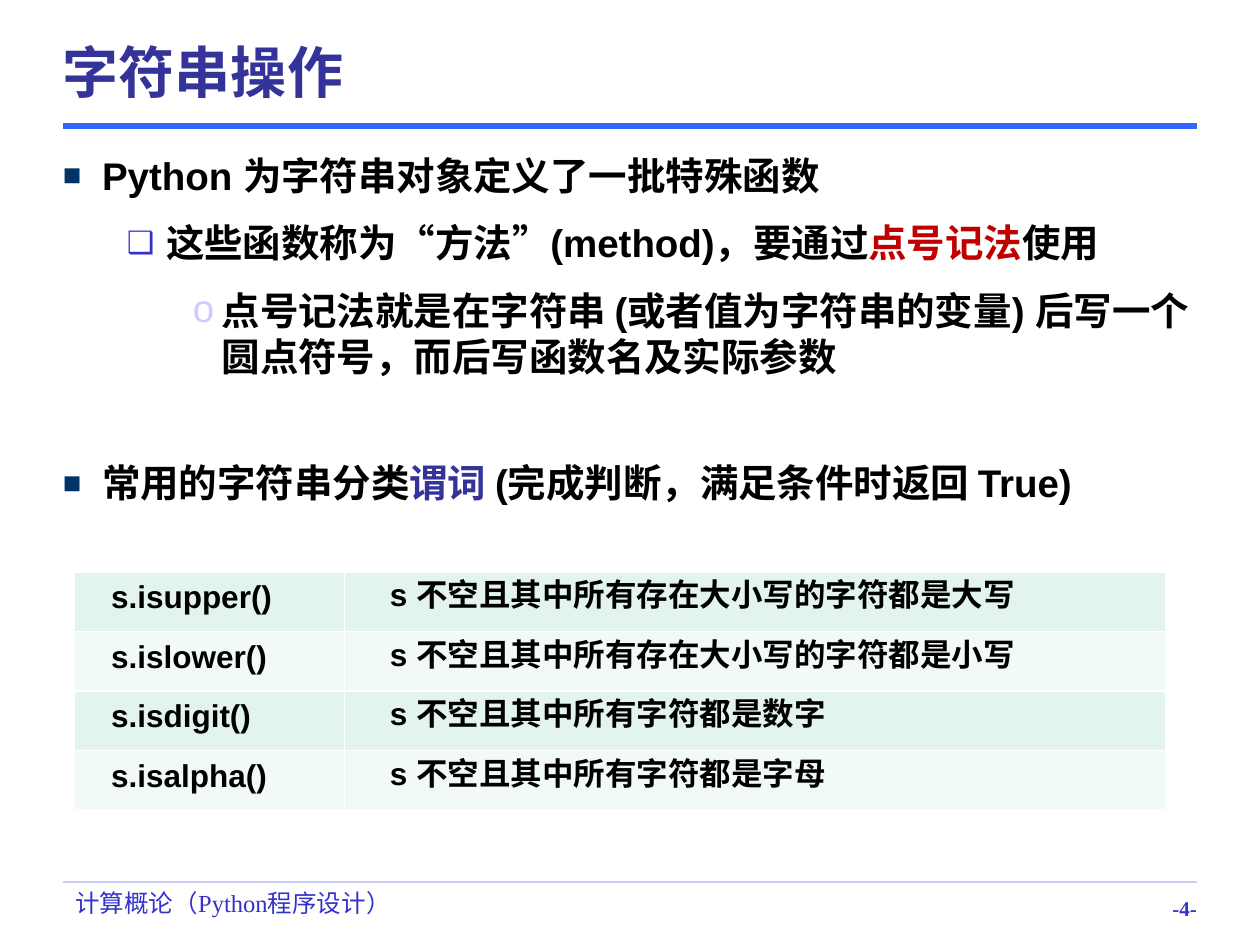
from lxml import etree
from pptx import Presentation, util as u
from pptx.dml.color import RGBColor
from pptx.enum import shapes, text
from pptx.oxml.ns import qn

Cm, Pt = u.Cm, u.Pt
LEFT, WIDTH = 1.27, 22.86
BLACK, NAVY, BLUE, RED = "000000", "333399", "3333CC", "C00000"

# level: left margin cm, hanging indent cm, bullet, colour, size %
LEVELS = [(0.79, 0.79, "■", "003366", 80),
          (2.08, 0.79, "❑", BLUE, 80),
          (3.2, 0.58, "o", "CCCCFF", 100)]

# level, space before pt, line spacing, runs
POINTS = [
    (0, 0, 1, [("Python 为字符串对象定义了一批特殊函数", BLACK)]),
    (1, 12, 1, [("这些函数称为“方法”(method)，要通过", BLACK), ("点号记法", RED),
                ("使用", BLACK)]),
    (2, 12, 1, [("点号记法就是在字符串 (或者值为字符串的变量) 后写一个圆点符号，"
                 "而后写函数名及实际参数", BLACK)]),
    (0, 49, 0.9, [("常用的字符串分类", BLACK), ("谓词 ", NAVY),
                  ("(完成判断，满足条件时返回 True)", BLACK)]),
]

METHODS = [
    ("s.isupper()", "s 不空且其中所有存在大小写的字符都是大写"),
    ("s.islower()", "s 不空且其中所有存在大小写的字符都是小写"),
    ("s.isdigit()", "s 不空且其中所有字符都是数字"),
    ("s.isalpha()", "s 不空且其中所有字符都是字母"),
]


def rgb(value):
    return RGBColor.from_string(value)


def sub(parent, tag, **attrs):
    return etree.SubElement(parent, qn(tag), {k: str(v) for k, v in attrs.items()})


def style(r, size, color, bold=True, name="Arial"):
    r.font.size, r.font.bold, r.font.name = Pt(size), bold, name
    r.font.color.rgb = rgb(color)


def add_text(s, box, pad_x=0, pad_y=0):
    tf = s.shapes.add_textbox(*map(Cm, box)).text_frame
    tf.word_wrap = True
    tf.margin_left = tf.margin_right = Cm(pad_x)
    tf.margin_top = tf.margin_bottom = Cm(pad_y)
    return tf


def add_rule(s, y, color, width):
    line = s.shapes.add_connector(shapes.MSO_CONNECTOR.STRAIGHT,
                                  Cm(LEFT), Cm(y), Cm(LEFT + WIDTH), Cm(y))
    line.line.color.rgb, line.line.width = rgb(color), Pt(width)
    sub(line._element.spPr, "a:effectLst")


def add_title(s, x, y, w, h):
    tf = add_text(s, (x, y, w, h))
    tf.vertical_anchor = text.MSO_ANCHOR.MIDDLE
    p = tf.paragraphs[0]
    p.text, p.line_spacing = "字符串操作", 1.24
    style(p.runs[0], 32, NAVY)
    add_rule(s, y + h + 0.41, "3366FF", 4)


def add_bullet(p, level):
    margin, hang, char, color, size = LEVELS[level]
    pPr = p._p.get_or_add_pPr()
    pPr.set("marL", str(Cm(margin)))
    pPr.set("indent", str(-Cm(hang)))
    sub(sub(pPr, "a:buClr"), "a:srgbClr", val=color)
    sub(pPr, "a:buSzPct", val=size * 1000)
    sub(pPr, "a:buFont", typeface="Arial")
    sub(pPr, "a:buChar", char=char)


def add_points(s, x, y, w, h):
    tf = add_text(s, (x, y, w, h), pad_y=0.1)
    for i, (level, before, spacing, parts) in enumerate(POINTS):
        p = tf.add_paragraph() if i else tf.paragraphs[0]
        p.level, p.space_before, p.line_spacing = level, Pt(before), float(spacing)
        add_bullet(p, level)
        for words, color in parts:
            r = p.add_run()
            r.text = words
            style(r, 22, color)


def add_borders(cell):
    tcPr = cell._tc.get_or_add_tcPr()
    for side in "LRTB":
        ln = sub(tcPr, f"a:ln{side}", w=Pt(1))
        sub(sub(ln, "a:solidFill"), "a:srgbClr", val="FFFFFF")


def add_methods(s, x, y, w, h):
    table = s.shapes.add_table(len(METHODS), 2, *map(Cm, (x, y, w, h))).table
    table.first_row = table.horz_banding = False
    name_w = 5.44
    for column, width in zip(table.columns, (name_w, w - name_w)):
        column.width = Cm(width)
    for i, row in enumerate(METHODS):
        for j, words in enumerate(row):
            cell = table.cell(i, j)
            add_borders(cell)
            cell.fill.solid()
            cell.fill.fore_color.rgb = rgb("F1FAF6" if i % 2 else "E2F4EC")
            cell.vertical_anchor = text.MSO_ANCHOR.MIDDLE
            cell.margin_top = cell.margin_bottom = 0
            cell.margin_left, cell.margin_right = Cm(0.18 * j), Cm(0.18)
            p = cell.text_frame.paragraphs[0]
            p.text = words
            p.alignment, p.line_spacing = text.PP_ALIGN.JUSTIFY, Pt(15.8)
            p._p.get_or_add_pPr().set("indent", str(Cm(0.74)))
            style(p.runs[0], 18, BLACK)


def add_footer(s, x, y, w):
    add_rule(s, y, "CCCCFF", 0.75)
    course = add_text(s, (x, y - 0.1, 15.6, 0.94), 0.25, 0.13).paragraphs[0]
    course.text = "计算概论（Python程序设计）"
    number = add_text(s, (x + w - 5.03, y + 0.2, 5.03, 0.56)).paragraphs[0]
    number.text, number.alignment = "-4-", text.PP_ALIGN.RIGHT
    for p, size, bold in ((course, 14, False), (number, 12, True)):
        p.line_spacing = 1.16
        style(p.runs[0], size, BLUE, bold, "Times New Roman")


def main():
    prs = Presentation()
    prs.slide_width, prs.slide_height = Cm(25.4), Cm(19.05)
    s = prs.slides.add_slide(prs.slide_layouts[6])
    add_footer(s, LEFT, 17.78, WIDTH)
    add_title(s, LEFT, 0.43, WIDTH, 1.7)
    add_points(s, LEFT, 2.97, WIDTH, 14.6)
    add_methods(s, 1.5, 11.53, 22, 4.8)
    prs.save("out.pptx")


if __name__ == "__main__":
    main()
